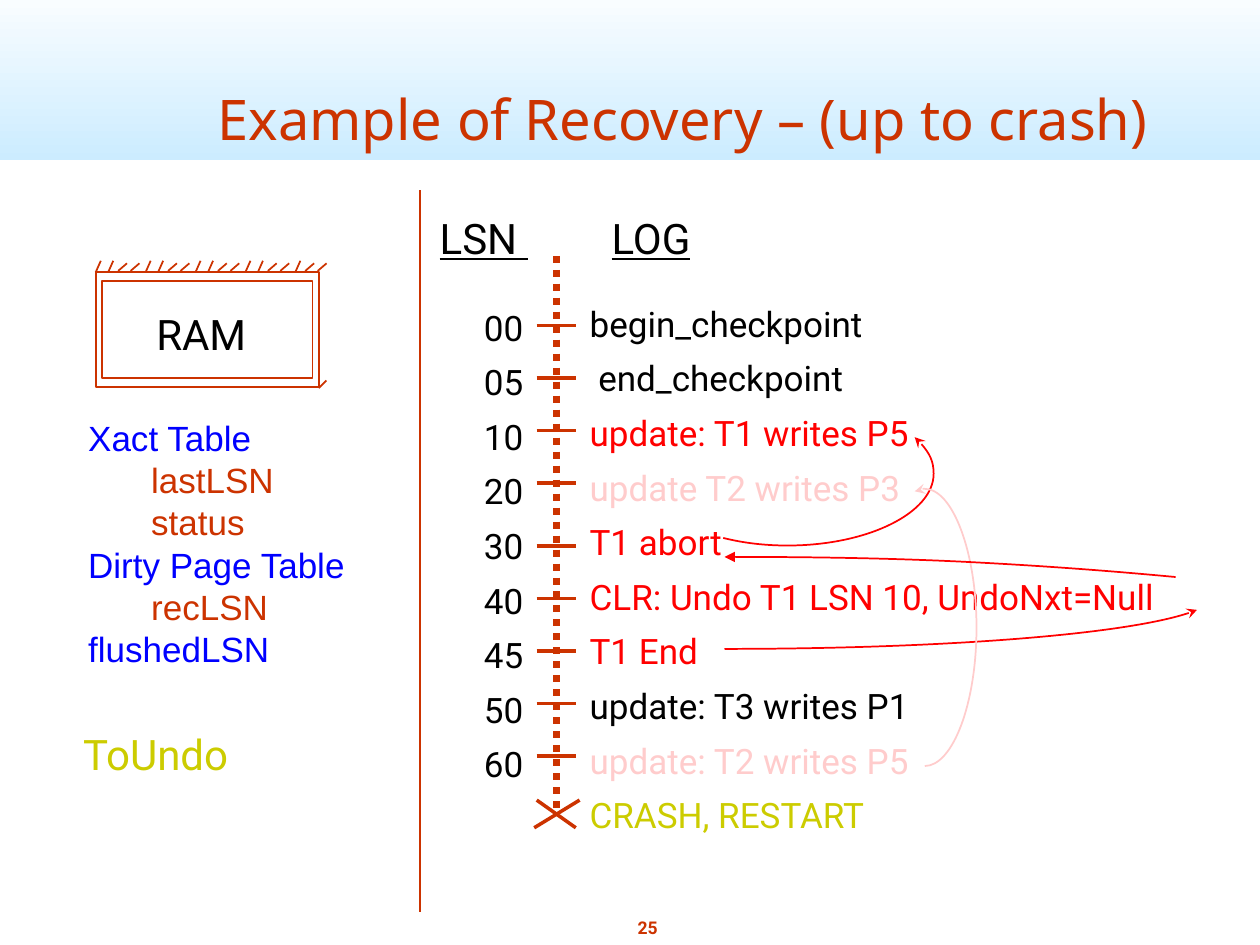
import pptx
import pptx.dml.color
import pptx.enum.dml
import pptx.enum.shapes
import pptx.enum.text
import pptx.oxml
import pptx.oxml.ns
import pptx.util

Inches = pptx.util.Inches
Pt = pptx.util.Pt
ALIGN = pptx.enum.text.PP_ALIGN
ANCHOR = pptx.enum.text.MSO_ANCHOR
RUST, BLACK, RED, PINK = "CC3300", "000000", "FF0000", "FFCCCC"
BLUE, OLIVE = "0000FF", "CCCC00"


def color(value):
    return pptx.dml.color.RGBColor.from_string(value)


def set_values(target, values):
    for name, value in values.items():
        setattr(target, name, value)


def make_element(tag, attributes=""):
    return pptx.oxml.parse_xml(
        f'<a:{tag} {pptx.oxml.ns.nsdecls("a")} {attributes}/>')


def style_line(line, line_color, width):
    line.color.rgb = color(line_color)
    line.width = Pt(width)


def add_text(slide, box, lines, size, font="Roboto", bold=None, underline=None,
             anchor=ANCHOR.TOP, **paragraph_format):
    shape = slide.shapes.add_textbox(*map(Inches, box))
    frame = shape.text_frame
    margins = dict.fromkeys(
        ("margin_left", "margin_right", "margin_top", "margin_bottom"), Inches(0.05))
    set_values(frame, {"word_wrap": True, "vertical_anchor": anchor, **margins})
    for index, (text, text_color, indent) in enumerate(lines):
        paragraph = frame.add_paragraph() if index else frame.paragraphs[0]
        set_values(paragraph, paragraph_format)
        if indent:
            properties = paragraph._p.get_or_add_pPr()
            properties.set("marL", str(Inches(indent)))
            properties.set("indent", "0")
        for part in [text] if isinstance(text, str) else text:
            run = paragraph.add_run()
            run.text = part
            set_values(run.font, {"name": font, "size": Pt(size), "bold": bold,
                                  "underline": underline})
            run.font.color.rgb = color(text_color)
    return frame


def add_line(slide, start, end, width=1, dash=None):
    connector = slide.shapes.add_connector(
        pptx.enum.shapes.MSO_CONNECTOR.STRAIGHT, *map(Inches, (*start, *end)))
    style_line(connector.line, RUST, width)
    if dash:
        connector.line.dash_style = dash
    connector._element.spPr.append(make_element("effectLst"))


def add_rectangle(slide, box):
    shape = slide.shapes.add_shape(
        pptx.enum.shapes.MSO_SHAPE.RECTANGLE, *map(Inches, box))
    shape.shadow.inherit = False
    shape.fill.background()
    return shape


def add_frame(slide, box):
    style_line(add_rectangle(slide, box).line, RUST, 1)


def add_banner(slide):
    banner = add_rectangle(slide, (0, -0.17, 10, 1.44))
    banner.line.fill.background()
    banner.fill.gradient()
    banner.fill.gradient_angle = 90
    for stop, position, value in zip(
            banner.fill.gradient_stops, (0, 1), ("CCECFF", "FFFFFF")):
        stop.position = position
        stop.color.rgb = color(value)


def add_curved_arrow(slide, points, line_color, head="stealth"):
    builder = slide.shapes.build_freeform(*map(Inches, points[0]))
    builder.add_line_segments(
        [tuple(map(Inches, point)) for point in points[1:]], close=False)
    arrow = builder.convert_to_shape()
    segments = arrow._element.findall(".//" + pptx.oxml.ns.qn("a:lnTo"))
    for first in range(0, len(segments), 3):
        curve = make_element("cubicBezTo")
        segments[first].addprevious(curve)
        for segment in segments[first:first + 3]:
            curve.append(segment[0])
            segment.getparent().remove(segment)
    arrow.shadow.inherit = False
    arrow.fill.background()
    style_line(arrow.line, line_color, 1)
    arrow.line._get_or_add_ln().append(make_element("headEnd", f'type="{head}"'))


def add_log(slide):
    entries = [
        ("begin_checkpoint", BLACK), (" end_checkpoint", BLACK),
        ("update: T1 writes P5", RED), ("update T2 writes P3", PINK),
        ("T1 abort", RED), ("CLR: Undo T1 LSN 10, UndoNxt=Null", RED),
        ("T1 End", RED), ("update: T3 writes P1", BLACK),
        ("update: T2 writes P5", PINK), ("CRASH, RESTART", OLIVE)]
    numbers = "00 05 10 20 30 40 45 50 60".split()
    add_text(slide, (4.63, 2.25, 5.07, 4.33),
             [(text, value, 0) for text, value in entries], 20, line_spacing=1.3)
    add_line(slide, (4.42, 2.03), (4.42, 6.47), 4,
             pptx.enum.dml.MSO_LINE.ROUND_DOT)
    for index in range(len(numbers)):
        y = (31 + 5 * index + (index >= 4)) / 12
        add_line(slide, (4.26, y), (4.57, y), 2)
    heading = add_text(slide, (3.44, 1.64, 2.3, 0.5),
                       [(("LSN", " ", "LOG"), BLACK, 0)], 24, underline=True)
    gap = heading.paragraphs[0].runs[1]
    gap.font._element.set("spc", "4800")
    add_text(slide, (3.44, 2.28, 0.81, 3.9),
             [(number, BLACK, 0.35) for number in numbers], 20, line_spacing=1.3)
    add_line(slide, (4.26, 6.35), (4.57, 6.57), 2)
    add_line(slide, (4.6, 6.35), (4.24, 6.57), 2)


def add_memory(slide):
    add_text(slide, (0.65, 3.26, 2.2, 2.32),
             [("Xact Table", BLUE, 0), ("lastLSN", RUST, 0.5),
              ("status", RUST, 0.5), ("Dirty Page Table", BLUE, 0),
              ("recLSN", RUST, 0.5), ("flushedLSN", BLUE, 0)], 20, "Arial")
    divider = 10 / 3
    add_line(slide, (divider, 1.51), (divider, 7.24))
    add_text(slide, (0.61, 5.73, 1.3, 0.5), [("ToUndo", OLIVE, 0)], 24)
    add_text(slide, (1.19, 2.4, 0.85, 0.5), [("RAM", BLACK, 0)], 24)
    add_frame(slide, (0.76, 2.16, 1.77, 0.91))
    for index in range(19):
        x = 0.74 + 0.099 * index
        if index % 4 < 2 and index < 17:
            add_line(slide, (x + 0.02, 2.16), (x + 0.06, 2.07))
        else:
            add_line(slide, (x + 0.07, 2.09), (x, 2.15))
    add_line(slide, (2.59, 3.02), (2.53, 3.08))
    add_frame(slide, (0.81, 2.23, 1.67, 0.77))


def add_undo_arrows(slide):
    add_curved_arrow(slide, [(9.5, 4.84), (9.08, 5.02), (7.53, 5.15), (5.75, 5.15)], RED)
    add_curved_arrow(slide, [
        (7.26, 3.47), (7.36, 3.56), (7.41, 3.66), (7.41, 3.76), (7.41, 4.07),
        (6.89, 4.33), (6.25, 4.33), (6.07, 4.33), (5.9, 4.31), (5.74, 4.27)], RED)
    add_curved_arrow(slide, [
        (7.26, 3.9), (7.29, 3.89), (7.31, 3.88), (7.34, 3.88), (7.56, 3.88),
        (7.75, 4.38), (7.75, 4.98), (7.75, 5.59), (7.56, 6.08), (7.34, 6.08)], PINK)
    add_curved_arrow(slide, [
        (5.75, 4.42), (6.41, 4.42), (7.07, 4.43), (7.67, 4.46),
        (8.26, 4.49), (8.8, 4.53), (9.33, 4.58)], RED, "triangle")


def main():
    presentation = pptx.Presentation()
    set_values(presentation, {"slide_width": Inches(10), "slide_height": Inches(7.5)})
    slide = presentation.slides.add_slide(presentation.slide_layouts[6])
    add_banner(slide)
    add_text(slide, (4.94, 7.23, 0.4, 0.27), [("25", RUST, 0)], 10, bold=True,
             alignment=ALIGN.CENTER, space_before=Pt(6))
    add_text(slide, (1.17, 0, 8.5, 1.25),
             [("Example of Recovery – (up to crash)", RUST, 0)], 32, "Noto Sans",
             anchor=ANCHOR.BOTTOM, alignment=ALIGN.CENTER)
    add_log(slide)
    add_memory(slide)
    add_undo_arrows(slide)
    presentation.save("out.pptx")


main()
